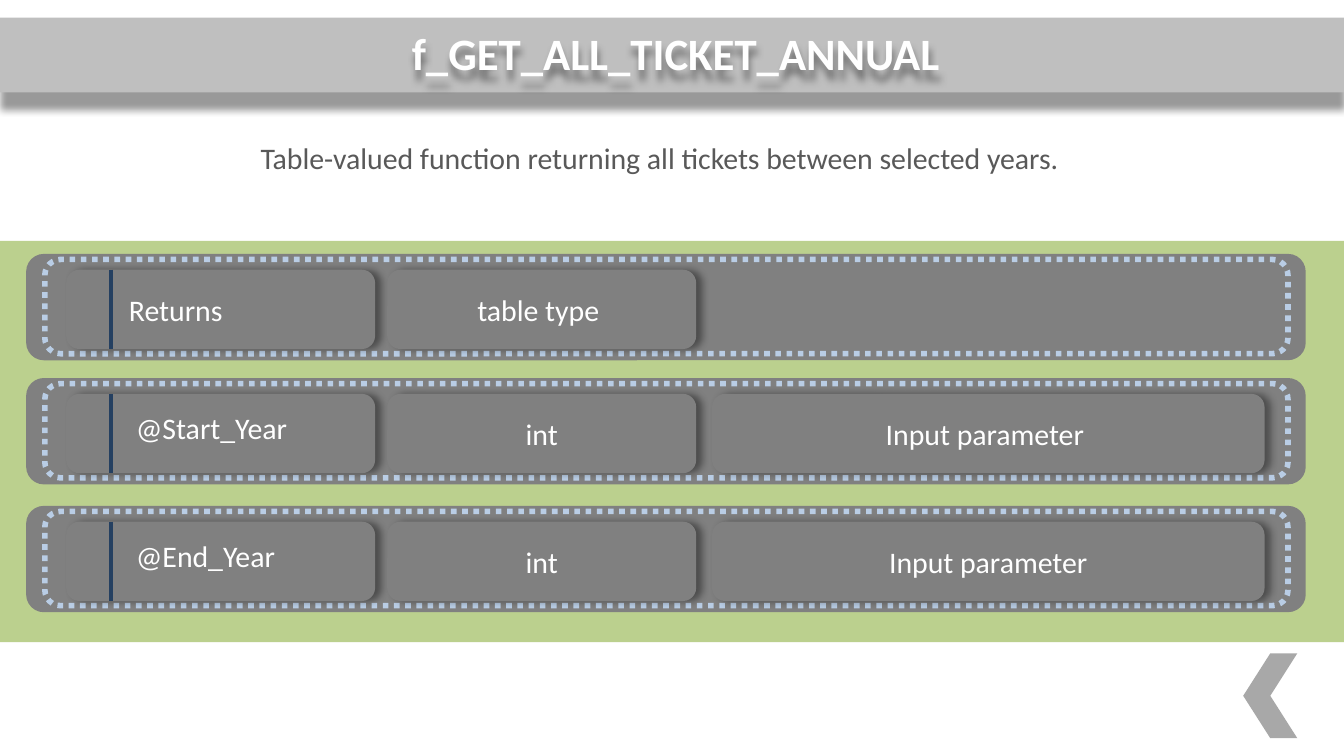
from lxml.etree import SubElement
from pptx import Presentation
from pptx.dml.color import RGBColor
from pptx.enum.dml import MSO_LINE
from pptx.enum.shapes import MSO_CONNECTOR, MSO_SHAPE
from pptx.enum.text import MSO_ANCHOR, PP_ALIGN
from pptx.oxml.ns import qn
from pptx.util import Pt

GRAY, WHITE = "808080", "FFFFFF"
FONT = {"name": "Calibri", "size": Pt(16), "bold": False}
TITLE_FONT = {"name": "Calibri", "size": Pt(24), "bold": True}
ROWS = [
    (136, "Returns", 16.5, 7.2, ["table type "]),
    (202.5, "@Start_Year", 13.5, 10.8, ["int", "Input parameter "]),
    (271, "@End_Year", 13.5, 10.8, ["int", "Input parameter"]),
]
COLUMNS = [(207.5, 165.5), (381.5, 296)]
CARD_TOP, CARD_HEIGHT = 8.5, 42.5


def set_color(target, color):
    target.rgb = RGBColor.from_string(color)


def set_attrs(obj, values):
    for name, value in values.items():
        setattr(obj, name, value)


def add_shadow(sp, dist, direction):
    sp.shadow.inherit = False
    effects = sp._element.spPr.find(qn("a:effectLst"))
    shadow = SubElement(effects, qn("a:outerShdw"), blurRad=str(Pt(4)), dist=str(Pt(dist)),
                        dir=str(direction * 60000), algn="tl", rotWithShape="0")
    color = SubElement(shadow, qn("a:srgbClr"), val="000000")
    SubElement(color, qn("a:alpha"), val="40000")


def add_box(s, kind, box, fill, alpha=None):
    sp = s.shapes.add_shape(kind, *map(Pt, box))
    sp.shadow.inherit = False
    sp.fill.solid()
    set_color(sp.fill.fore_color, fill)
    sp.line.fill.background()
    if alpha:
        color = sp._element.spPr.find(qn("a:solidFill"))[0]
        SubElement(color, qn("a:alpha"), val=str(alpha * 1000))
    return sp


def write(sp, text, color=WHITE, font=FONT, align=PP_ALIGN.CENTER, **frame):
    tf = sp.text_frame
    set_attrs(tf, {"word_wrap": True, **frame})
    p = tf.paragraphs[0]
    p.alignment = align
    r = p.add_run()
    r.text = text
    set_attrs(r.font, font)
    set_color(r.font.color, color)


def add_text(s, box, text, **fmt):
    sp = s.shapes.add_textbox(*map(Pt, box))
    write(sp, text, **fmt)
    return sp


def add_card(s, left, top, width, text=None):
    sp = add_box(s, MSO_SHAPE.ROUNDED_RECTANGLE, (left, top, width, CARD_HEIGHT), GRAY)
    add_shadow(sp, 3, 0)
    if text:
        write(sp, text, vertical_anchor=MSO_ANCHOR.MIDDLE)


def add_rule(s, x, top):
    line = s.shapes.add_connector(MSO_CONNECTOR.STRAIGHT, Pt(x), Pt(top), Pt(x), Pt(top + CARD_HEIGHT))
    line.line.width = Pt(2.5)
    set_color(line.line.color, "254061")
    SubElement(line._element.spPr, qn("a:effectLst"))


def add_row(s, top, label, label_top, indent, cells):
    add_box(s, MSO_SHAPE.ROUNDED_RECTANGLE, (14, top, 685.5, 57), GRAY)
    frame = add_box(s, MSO_SHAPE.ROUNDED_RECTANGLE, (24, top + 3, 666, 50.5), GRAY)
    set_attrs(frame.line, {"width": Pt(3), "dash_style": MSO_LINE.ROUND_DOT})
    set_color(frame.line.color, "B9CDE5")
    card_top = top + CARD_TOP
    add_card(s, 35.5, card_top, 165.5)
    add_rule(s, 59.5, card_top)
    add_text(s, (62, top + label_top, 168, 26.5), label, align=PP_ALIGN.LEFT, margin_left=Pt(indent))
    for (left, width), text in zip(COLUMNS, cells):
        add_card(s, left, card_top, width, text)


def main():
    """Build the function reference slide."""
    prs = Presentation()
    set_attrs(prs, {"slide_width": Pt(720), "slide_height": Pt(405)})
    s = prs.slides.add_slide(prs.slide_layouts[6])
    bar = add_box(s, MSO_SHAPE.RECTANGLE, (0, 9.5, 720, 40), "BFBFBF")
    add_shadow(bar, 9, 90)
    margins = {"margin_left": Pt(5), "margin_right": Pt(5), "margin_top": Pt(3), "margin_bottom": Pt(3)}
    title = add_text(s, (4, 11, 716, 34.5), "f_GET_ALL_TICKET_ANNUAL", font=TITLE_FONT, **margins)
    add_shadow(title, 4, 90)
    add_box(s, MSO_SHAPE.RECTANGLE, (0, 129, 720, 215), "9BBB59", 68)
    for row in ROWS:
        add_row(s, *row)
    add_text(s, (0, 71.5, 707, 26.5), "Table-valued function returning all tickets between selected years.",
             color="595959")
    chevron = add_box(s, MSO_SHAPE.CHEVRON, (666, 350, 29, 45.5), GRAY, 68)
    chevron.rotation = 180
    prs.save("out.pptx")


if __name__ == "__main__":
    main()
